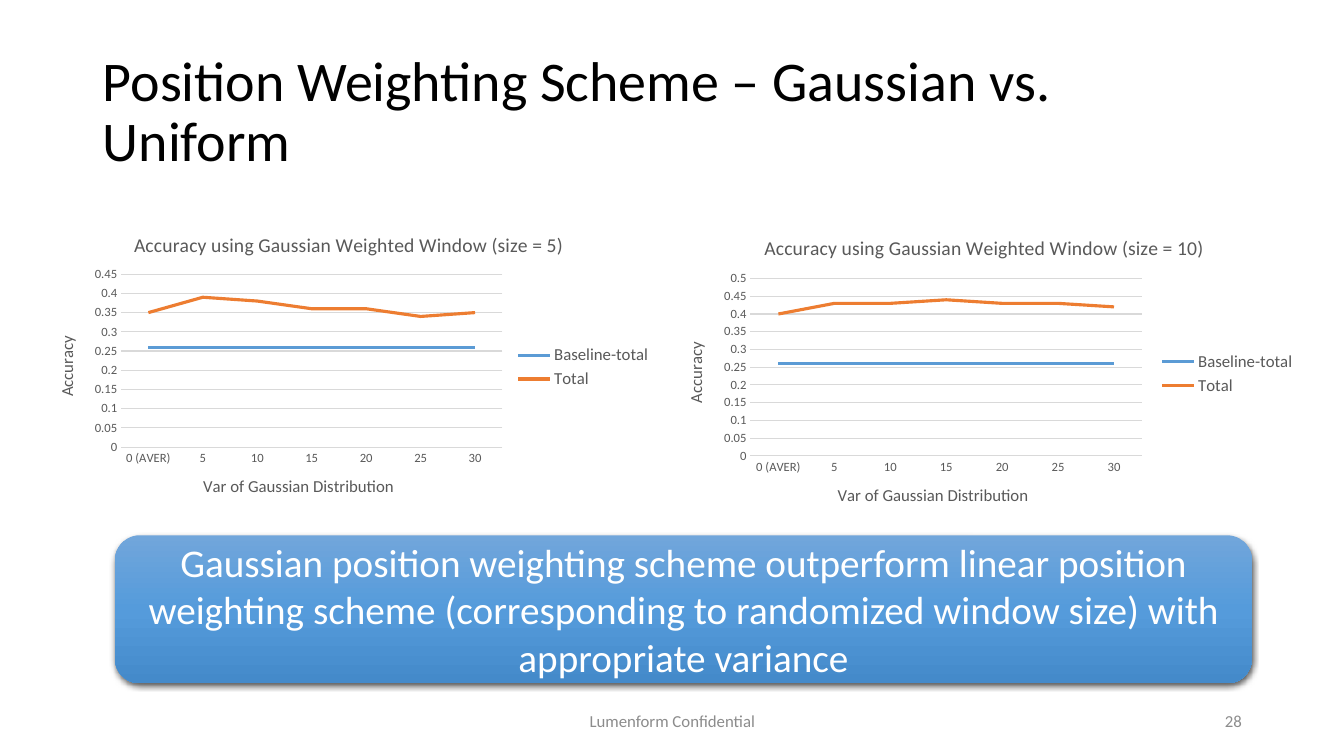
from dataclasses import dataclass

from lxml import etree
from pptx import Presentation
from pptx.chart.data import CategoryChartData
from pptx.dml.color import RGBColor
from pptx.enum.chart import XL_CHART_TYPE, XL_LEGEND_POSITION, XL_TICK_MARK
from pptx.enum.shapes import MSO_SHAPE
from pptx.enum.text import MSO_ANCHOR, PP_ALIGN
from pptx.oxml import parse_xml
from pptx.oxml.ns import nsdecls, qn
from pptx.util import Cm, Pt

LINE_CHART = XL_CHART_TYPE.LINE
LEGEND_RIGHT = XL_LEGEND_POSITION.RIGHT
NO_TICK = XL_TICK_MARK.NONE
ROUNDED = MSO_SHAPE.ROUNDED_RECTANGLE
MIDDLE = MSO_ANCHOR.MIDDLE
LEFT, CENTER, RIGHT = PP_ALIGN.LEFT, PP_ALIGN.CENTER, PP_ALIGN.RIGHT


@dataclass(frozen=True)
class Theme:
    font: str = "Calibri"
    black: str = "000000"
    white: str = "FFFFFF"
    footer: str = "8C8C8C"
    chart_text: str = "595959"
    grid: str = "D9D9D9"
    series: tuple = ("5B9BD5", "ED7D31")
    gradient: tuple = ((0, "71A6DB"), (50, "559BDB"), (100, "448ACA"))
    title_size: int = 40
    message_size: int = 28
    chart_title_size: int = 14
    label_size: int = 12
    tick_size: int = 9


THEME = Theme()
VARIANCES = ["0 (AVER)", "5", "10", "15", "20", "25", "30"]
BASELINE = [0.26] * len(VARIANCES)
PLOT_AREA = {"x": 0.137, "y": 0.193, "w": 0.608, "h": 0.572}


def style_font(font, size, color):
    font.name = THEME.font
    font.size = Pt(size)
    font.bold = False
    font.color.rgb = RGBColor.from_string(color)


def write_text(frame, text, size, color, align):
    frame.word_wrap = True
    frame.vertical_anchor = MIDDLE
    frame.text = text
    para = frame.paragraphs[0]
    para.alignment = align
    style_font(para.runs[0].font, size, color)
    return para


def add_text(page, place, text, size, color, align):
    box = page.shapes.add_textbox(*map(Cm, place))
    return write_text(box.text_frame, text, size, color, align)


def write_chart_title(owner, title, text, size):
    """Give a chart or an axis its title."""
    owner.has_title = True
    title.text_frame.text = text
    span = title.text_frame.paragraphs[0].runs[0]
    style_font(span.font, size, THEME.chart_text)


def style_axis(axis, title):
    write_chart_title(axis, axis.axis_title, title, THEME.label_size)
    axis.major_tick_mark = axis.minor_tick_mark = NO_TICK
    style_font(axis.tick_labels.font, THEME.tick_size, THEME.chart_text)


def style_grid_line(line):
    line.color.rgb = RGBColor.from_string(THEME.grid)
    line.width = Pt(0.75)


def fix_plot_area(chart):
    """Place the inner plot area at fixed fractions of the chart."""
    plot_area = chart.plots[0]._element.getparent()
    for old in plot_area.findall(qn("c:layout")):
        plot_area.remove(old)
    layout = etree.Element(qn("c:layout"))
    manual = etree.SubElement(layout, qn("c:manualLayout"))
    settings = {"layoutTarget": "inner", "xMode": "edge", "yMode": "edge", **PLOT_AREA}
    for name, value in settings.items():
        etree.SubElement(manual, qn(f"c:{name}")).set("val", str(value))
    plot_area.insert(0, layout)


def add_accuracy_chart(page, place, window, totals, top):
    data = CategoryChartData()
    data.categories = VARIANCES
    data.add_series("Baseline-total", BASELINE)
    data.add_series("Total", totals)
    chart = page.shapes.add_chart(LINE_CHART, *map(Cm, place), data).chart
    chart.font.name = THEME.font
    write_chart_title(chart, chart.chart_title,
                      f"Accuracy using Gaussian Weighted Window (size = {window})",
                      THEME.chart_title_size)
    chart.chart_title.include_in_layout = False

    chart.has_legend = True
    chart.legend.position = LEGEND_RIGHT
    chart.legend.include_in_layout = False
    style_font(chart.legend.font, THEME.label_size, THEME.chart_text)

    style_axis(chart.category_axis, "Var of Gaussian Distribution")
    style_grid_line(chart.category_axis.format.line)
    accuracy = chart.value_axis
    style_axis(accuracy, "Accuracy")
    accuracy.minimum_scale, accuracy.maximum_scale = 0, top
    accuracy.major_unit = 0.05
    accuracy.format.line.fill.background()
    style_grid_line(accuracy.major_gridlines.format.line)

    chart.plots[0].vary_by_categories = False
    for series, color in zip(chart.plots[0].series, THEME.series):
        series.smooth = False
        series.format.line.width = Pt(2.25)
        series.format.line.color.rgb = RGBColor.from_string(color)
    fix_plot_area(chart)


def add_message(page, place, text):
    """Add the rounded banner with a vertical gradient and a soft shadow."""
    banner = page.shapes.add_shape(ROUNDED, *map(Cm, place))
    banner.shadow.inherit = False
    banner.line.fill.background()
    stops = "".join(
        f'<a:gs pos="{percent * 1000}"><a:srgbClr val="{color}"/></a:gs>'
        for percent, color in THEME.gradient)
    properties = banner._element.spPr
    properties.find(qn("a:prstGeom")).addnext(parse_xml(
        f'<a:gradFill {nsdecls("a")} rotWithShape="1"><a:gsLst>{stops}</a:gsLst>'
        '<a:lin ang="5400000" scaled="0"/></a:gradFill>'))
    properties.find(qn("a:effectLst")).append(parse_xml(
        f'<a:outerShdw {nsdecls("a")} blurRad="{Pt(4.5)}" dist="{Pt(1.5)}" '
        f'dir="5400000" algn="ctr" rotWithShape="0"><a:srgbClr val="{THEME.black}">'
        '<a:alpha val="63000"/></a:srgbClr></a:outerShdw>'))
    write_text(banner.text_frame, text, THEME.message_size, THEME.white, CENTER)


def main():
    deck = Presentation()
    deck.slide_width, deck.slide_height = Cm(33.87), Cm(19.05)
    page = deck.slides.add_slide(deck.slide_layouts[6])

    title = add_text(page, (2.34, 1.02, 29.21, 3.68),
                     "Position Weighting Scheme – Gaussian vs. Uniform",
                     THEME.title_size, THEME.black, LEFT)
    title.line_spacing = 0.9
    add_text(page, (11.23, 17.65, 11.43, 1.02), "Lumenform Confidential",
             THEME.label_size, THEME.footer, CENTER)
    add_text(page, (23.93, 17.65, 7.62, 1.02), "28",
             THEME.label_size, THEME.footer, RIGHT)

    add_accuracy_chart(page, (0.89, 5.44, 15.8, 7.62), 5,
                       [0.35, 0.39, 0.38, 0.36, 0.36, 0.34, 0.35], 0.45)
    add_accuracy_chart(page, (16.69, 5.51, 16.23, 7.82), 10,
                       [0.4, 0.43, 0.43, 0.44, 0.43, 0.43, 0.42], 0.5)
    add_message(page, (2.9, 13.49, 28.65, 3.73),
                "Gaussian position weighting scheme outperform linear position "
                "weighting scheme (corresponding to randomized window size) "
                "with appropriate variance")
    deck.save("out.pptx")


if __name__ == "__main__":
    main()
